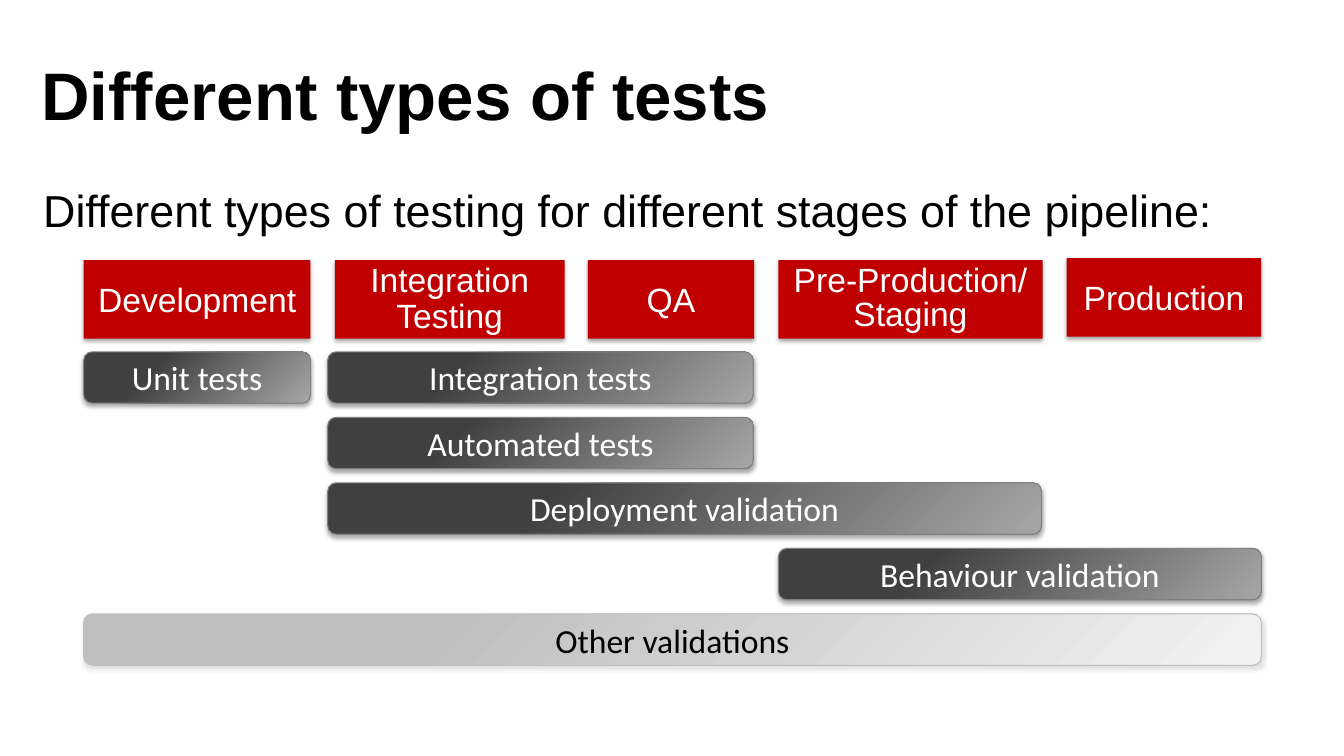
"""Build a slide that maps test types onto pipeline stages."""
from dataclasses import dataclass

from pptx import Presentation
from pptx import util as u
from pptx.dml.color import RGBColor
from pptx.enum import shapes, text
from pptx.oxml import parse_xml
from pptx.oxml.ns import nsdecls

PX = 9144


@dataclass(frozen=True)
class Theme:
    """Colours, fonts and type sizes of the slide."""
    ink: str = "000000"
    white: str = "FFFFFF"
    red: str = "C00000"
    dark: tuple = ("404040", "A6A6A6", "808080")
    pale: tuple = ("BFBFBF", "F2F2F2", "BFBFBF")
    sans: str = "Arial"
    label: str = "Calibri"
    title: int = 48
    lead: int = 32
    body: int = 24


T = Theme()

STAGES = [
    ("Development", 83, 225, 2, 1),
    ("Integration Testing", 332, 228, 2, 0.9),
    ("QA", 583, 165, 2, 1),
    ("Pre-Production/\vStaging", 772, 262, 2, 0.85),
    ("Production", 1058, 193, 0, 1),
]
TESTS = [
    ("Unit tests", 0, 83, 225),
    ("Integration tests", 0, 325, 422),
    ("Automated tests", 1, 325, 422),
    ("Deployment validation", 2, 325, 708),
    ("Behaviour validation", 3, 772, 479),
]


def px(*vals):
    """Turn pixel lengths into EMU."""
    return [u.Emu(v * PX) for v in vals]


def rgb(code):
    """Return the colour for a hex code."""
    return RGBColor.from_string(code)


def write(shape, words, size=T.body, face=T.sans, color=T.ink, bold=False,
          align=text.PP_ALIGN.LEFT, anchor=text.MSO_ANCHOR.MIDDLE, space=1):
    """Put formatted text in a shape."""
    frame = shape.text_frame
    frame.word_wrap = True
    frame.auto_size = text.MSO_AUTO_SIZE.NONE
    frame.vertical_anchor = anchor
    para = frame.paragraphs[0]
    para.text = words
    para.alignment = align
    para.line_spacing = space
    for run in para.runs:
        font = run.font
        font.size, font.name, font.bold = u.Pt(size), face, bold
        font.color.rgb = rgb(color)


def shade(shape, alpha):
    """Give a shape a soft shadow straight below it."""
    shape.shadow.inherit = False
    effect = shape._element.spPr.find(
        "{http://schemas.openxmlformats.org/drawingml/2006/main}effectLst")
    effect.append(parse_xml(
        f'<a:outerShdw {nsdecls("a")} blurRad="{u.Pt(3.1)}" '
        f'dist="{u.Pt(1.8)}" dir="5400000" rotWithShape="0">'
        f'<a:srgbClr val="000000"><a:alpha val="{alpha * 1000}"/>'
        '</a:srgbClr></a:outerShdw>'))


def head(slide, x, y, w, h):
    """Place the title and the lead line under it."""
    title = slide.shapes.title
    title.left, title.top, title.width, title.height = px(x, y, w, 125)
    write(title, "Different types of tests", size=T.title, bold=True)
    lead = slide.shapes.add_textbox(*px(x + 2, y + h - 64, 1193, 64))
    write(lead, "Different types of testing for different stages of the pipeline:",
          size=T.lead, anchor=text.MSO_ANCHOR.TOP)


def stages(slide, y, h):
    """Place the row of pipeline stages as one group."""
    group = slide.shapes.add_group_shape().shapes
    for words, x, w, drop, space in STAGES:
        box = group.add_shape(shapes.MSO_SHAPE.RECTANGLE, *px(x, y + drop, w, h))
        box.fill.solid()
        box.fill.fore_color.rgb = rgb(T.red)
        box.line.fill.background()
        shade(box, 35)
        write(box, words, color=T.white, align=text.PP_ALIGN.CENTER, space=space)


def bar(slide, words, x, y, w, h, tone=T.dark, color=T.white, alpha=35):
    """Place one rounded test bar with a diagonal gradient."""
    box = slide.shapes.add_shape(
        shapes.MSO_SHAPE.ROUNDED_RECTANGLE, *px(x, y, w, h))
    start, end, edge = tone
    box.fill.gradient()
    box.fill.gradient_angle = 315
    for stop, spot, code in zip(box.fill.gradient_stops, (0.3, 1), (start, end)):
        stop.position = spot
        stop.color.rgb = rgb(code)
    box.line.color.rgb = rgb(edge)
    box.line.width = u.Pt(0.75)
    shade(box, alpha)
    write(box, words, face=T.label, color=color, align=text.PP_ALIGN.CENTER)


def tests(slide, x, y, w, h, step):
    """Place the test bars on evenly spaced rows."""
    for words, row, left, width in TESTS:
        bar(slide, words, left, y + row * step, width, h)
    bar(slide, "Other validations", x, y + 4 * step, w, h,
        tone=T.pale, color=T.ink, alpha=12)


def main():
    """Build and save the deck."""
    deck = Presentation()
    deck.slide_width, deck.slide_height = px(1333, 750)
    slide = deck.slides.add_slide(deck.slide_layouts[5])
    head(slide, 31, 30, 1261, 210)
    stages(slide, 256, 78)
    tests(slide, 83, 349, 1168, 51, 65)
    deck.save("out.pptx")


if __name__ == "__main__":
    main()
